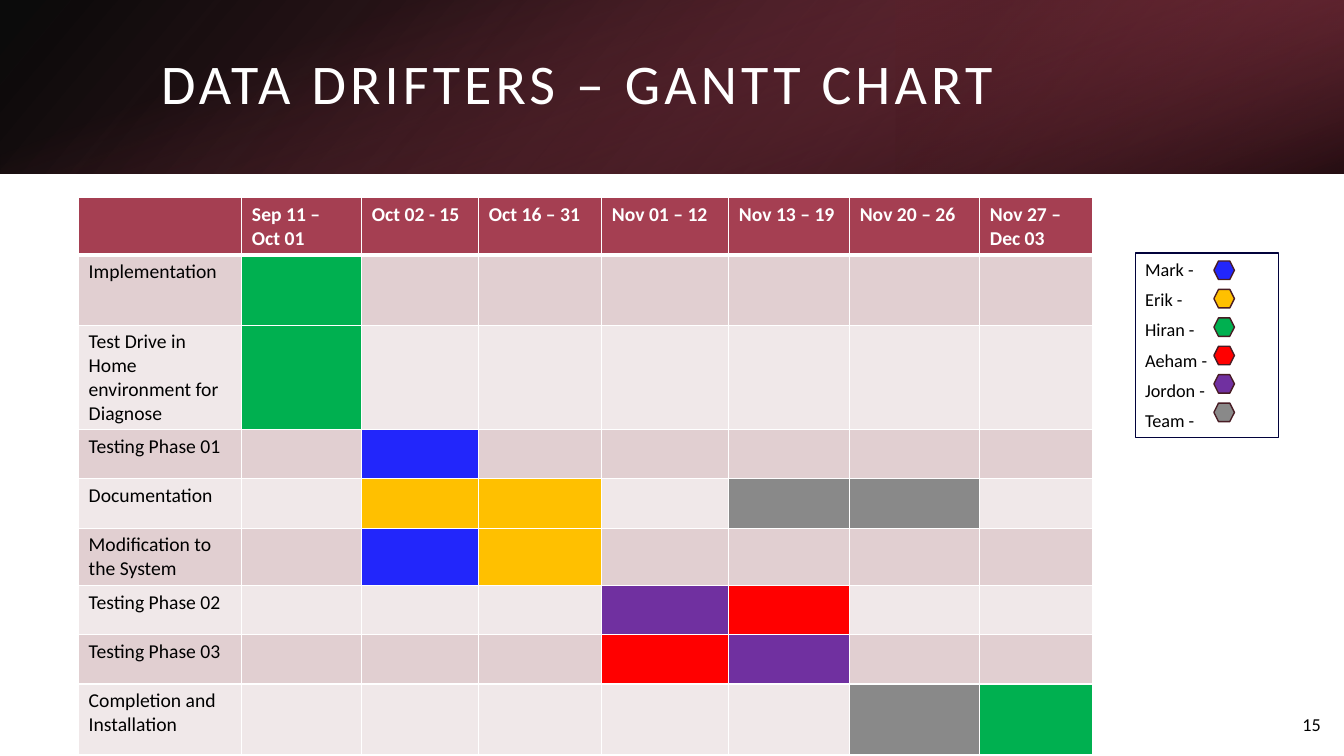
from dataclasses import dataclass

from lxml.etree import SubElement
from pptx import Presentation
from pptx.dml.color import RGBColor
from pptx.enum.shapes import MSO_SHAPE as Preset
from pptx.enum.text import MSO_ANCHOR as Anchor
from pptx.oxml import parse_xml
from pptx.oxml.ns import nsdecls, qn
from pptx.util import Inches, Pt


@dataclass(frozen=True)
class Theme:
    font: str = "Calibri"
    title_size: int = 40
    table_size: int = 14
    small_size: int = 13
    white: str = "FFFFFF"
    black: str = "000000"
    maroon: str = "A53F52"
    wine: str = "7C2F3E"
    dark_wine: str = "522029"
    marker_edge: str = "481C24"
    legend_edge: str = "01023B"
    bands: tuple = ("E1CFD1", "F0E8E9")


THEME = Theme()
MEMBERS = {
    "Mark": "2226FB",
    "Erik": "FFC000",
    "Hiran": "00B050",
    "Aeham": "FF0000",
    "Jordon": "7030A0",
    "Team": "898989",
}
PERIODS = ["", "Sep 11 – Oct 01", "Oct 02 - 15", "Oct 16 – 31", "Nov 01 – 12",
           "Nov 13 – 19", "Nov 20 – 26", "Nov 27 – Dec 03"]
TASKS = [
    ("Implementation", {1: "Hiran"}),
    ("Test Drive in Home environment for Diagnose", {1: "Hiran"}),
    ("Testing Phase 01", {2: "Mark"}),
    ("Documentation", {2: "Erik", 3: "Erik", 5: "Team", 6: "Team"}),
    ("Modification to the System", {2: "Mark", 3: "Erik"}),
    ("Testing Phase 02", {4: "Jordon", 5: "Aeham"}),
    ("Testing Phase 03", {4: "Aeham", 5: "Jordon"}),
    ("Completion and Installation", {6: "Team", 7: "Hiran"}),
]
PERIOD_COLUMNS = [12.15, 8.93, 8.7, 9.15, 9.45, 9, 9.68, 8.4]
TASK_ROWS = [6.53, 9.33, 12.27] + [6.53] * 5 + [9.33]
BANNER_ROWS = 23


def write(frame, lines, size, color=THEME.black, bold=False, after=0,
          leading=None, tracking=0, anchor=Anchor.TOP):
    frame.word_wrap = True
    frame.vertical_anchor = anchor
    for index, line in enumerate(lines):
        paragraph = frame.add_paragraph() if index else frame.paragraphs[0]
        paragraph.space_after = Pt(after)
        if leading:
            paragraph.line_spacing = leading
        run = paragraph.add_run()
        run.text = line
        run.font.name = THEME.font
        run.font.size = Pt(size)
        run.font.bold = bold
        run.font.color.rgb = RGBColor.from_string(color)
        if tracking:
            run.font._element.set("spc", str(tracking * 100))


class GridSlide:
    def __init__(self, deck, theme):
        self.theme = theme
        self.column = deck.slide_width / 100
        self.row = deck.slide_height / 100
        self.slide = deck.slides.add_slide(deck.slide_layouts[6])

    def box(self, x, y, width, height):
        return (round(x * self.column), round(y * self.row),
                round(width * self.column), round(height * self.row))

    def text(self, area, lines, **style):
        frame = self.slide.shapes.add_textbox(*self.box(*area)).text_frame
        write(frame, lines, **style)

    def shape(self, preset, area, fill=None, line=None, weight=1):
        shape = self.slide.shapes.add_shape(preset, *self.box(*area))
        shape.shadow.inherit = False
        if fill:
            shape.fill.solid()
            shape.fill.fore_color.rgb = RGBColor.from_string(fill)
        else:
            shape.fill.background()
        if line:
            shape.line.color.rgb = RGBColor.from_string(line)
            shape.line.width = Pt(weight)
        else:
            shape.line.fill.background()
        return shape

    def gradient(self, area, stops, angle, rotation=0, flip=False):
        shape = self.shape(Preset.RECTANGLE, area)
        shape.rotation = rotation
        properties = shape._element.spPr
        if flip:
            properties.find(qn("a:xfrm")).set("flipH", "1")
        stop_list = "".join(
            f'<a:gs pos="{place * 1000}"><a:srgbClr val="{color}">'
            f'<a:alpha val="{opacity * 1000}"/></a:srgbClr></a:gs>'
            for place, color, opacity in stops)
        properties.replace(properties.find(qn("a:noFill")), parse_xml(
            f'<a:gradFill rotWithShape="1" {nsdecls("a")}><a:gsLst>{stop_list}</a:gsLst>'
            f'<a:lin ang="{angle * 60000}" scaled="0"/></a:gradFill>'))

    def paint_cell(self, cell, fill, widths):
        properties = cell._tc.get_or_add_tcPr()
        for side, width in zip("LRTB", widths):
            edge = SubElement(properties, qn(f"a:ln{side}"), w=str(Pt(width)))
            solid = SubElement(edge, qn("a:solidFill"))
            SubElement(solid, qn("a:srgbClr"), val=self.theme.white)
        cell.fill.solid()
        cell.fill.fore_color.rgb = RGBColor.from_string(fill)

    def gantt(self, x, y, columns, rows, periods, tasks):
        area = self.box(x, y, sum(columns), sum(rows))
        table = self.slide.shapes.add_table(len(rows), len(columns), *area).table
        table.horz_banding = False
        for column, share in zip(table.columns, columns):
            column.width = round(share * self.column)
        for row, share in zip(table.rows, rows):
            row.height = round(share * self.row)
        for index, period in enumerate(periods):
            cell = table.cell(0, index)
            self.paint_cell(cell, self.theme.maroon, (1, 1, 1, 3))
            write(cell.text_frame, [period] if period else [],
                  size=self.theme.table_size, color=self.theme.white, bold=True)
        for number, (task, owners) in enumerate(tasks, 1):
            band = self.theme.bands[(number - 1) % 2]
            top = 3 if number == 1 else 1
            for index in range(len(periods)):
                fill = MEMBERS[owners[index]] if index in owners else band
                self.paint_cell(table.cell(number, index), fill, (1, 1, top, 1))
            write(table.cell(number, 0).text_frame, [task], size=self.theme.table_size)

    def legend(self, area, members):
        x, y, _, _ = area
        panel = self.shape(Preset.RECTANGLE, area, line=self.theme.legend_edge, weight=0.75)
        write(panel.text_frame, [f"{member} -" for member in members],
              size=self.theme.small_size, after=6)
        for paragraph in panel.text_frame.paragraphs:
            paragraph.alignment = 1
        for index, color in enumerate(members.values()):
            self.shape(Preset.HEXAGON, (x + 5.85, y + 1.05 + index * 3.76, 1.53, 2.45),
                       fill=color, line=self.theme.marker_edge)


def main():
    deck = Presentation()
    deck.slide_width, deck.slide_height = Inches(13.33), Inches(7.5)
    page = GridSlide(deck, THEME)

    page.gradient((0, 0, 100, BANNER_ROWS),
                  [(0, THEME.black, 96), (100, THEME.wine, 100)], 140, flip=True)
    page.gradient((66.67, 0, 33.33, BANNER_ROWS),
                  [(19, THEME.dark_wine, 68), (100, THEME.maroon, 79)], 320,
                  rotation=180, flip=True)
    page.gradient((43.53, -77.37, 12.94, 177.73),
                  [(23, THEME.maroon, 0), (99, THEME.black, 74)], 340, rotation=90)

    page.text((11.25, 5.07, 82.37, 12.8), ["DATA DRIFTERS – GANTT CHART"],
              size=THEME.title_size, color=THEME.white, leading=0.9,
              tracking=3, anchor=Anchor.MIDDLE)
    page.text((96.17, 93.73, 3.38, 4), ["15"], size=THEME.small_size, after=6)
    page.gantt(5.85, 26.13, PERIOD_COLUMNS, TASK_ROWS, PERIODS, TASKS)
    page.legend((84.47, 33.47, 10.65, 24.4), MEMBERS)

    deck.save("out.pptx")


if __name__ == "__main__":
    main()
